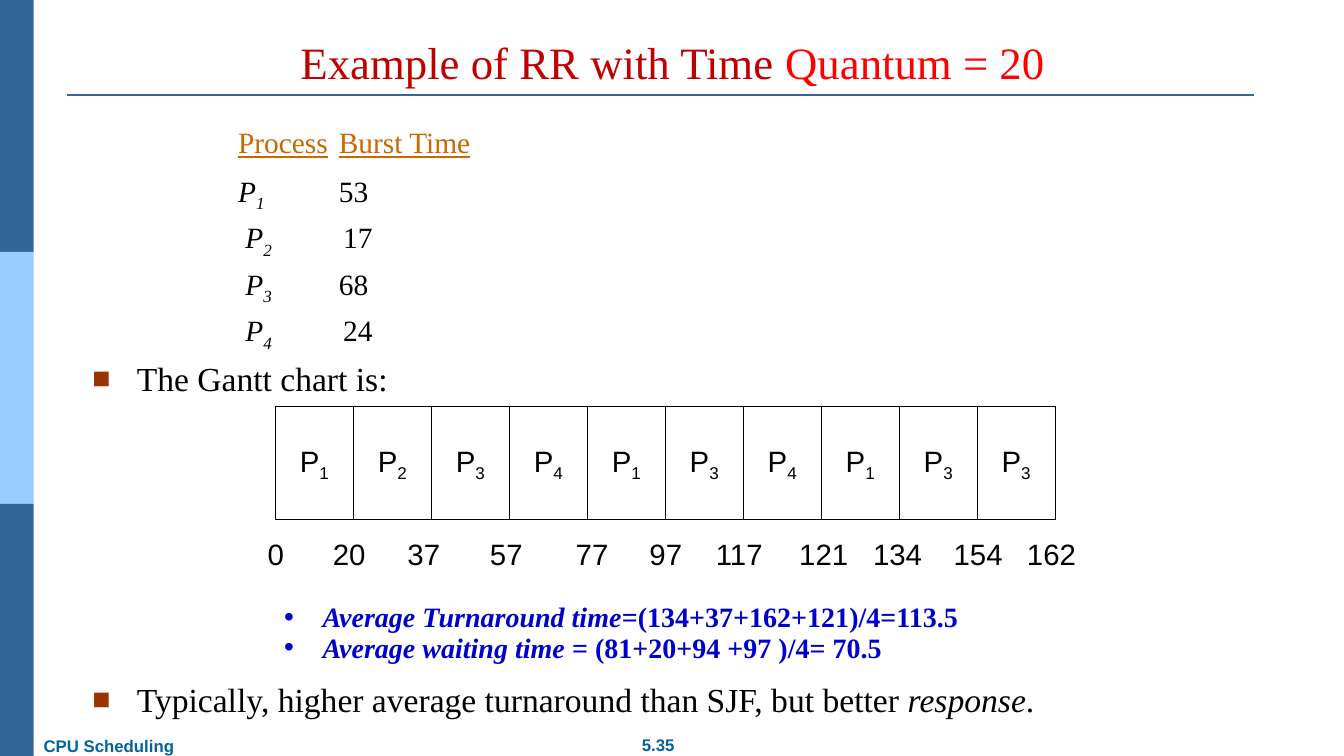
import dataclasses
import typing

import lxml.etree
import pptx
import pptx.dml.color
import pptx.enum.shapes
import pptx.enum.text
import pptx.oxml.ns
import pptx.util

Cm = pptx.util.Cm
Pt = pptx.util.Pt
Align = pptx.enum.text.PP_ALIGN
Anchor = pptx.enum.text.MSO_ANCHOR
Shape = pptx.enum.shapes.MSO_SHAPE


@dataclasses.dataclass(frozen=True)
class Theme:
    serif: str = "Times New Roman"
    sans: str = "Arial"
    dark_blue: str = "336699"
    light_blue: str = "99CCFF"
    footer: str = "006699"
    title: str = "C00000"
    title_accent: str = "FF0000"
    heading: str = "CC6600"
    marker: str = "993300"
    result: str = "0000CC"
    black: str = "000000"
    white: str = "FFFFFF"
    title_size: float = 32
    point_size: float = 24
    data_size: float = 21
    result_size: float = 20
    footer_size: float = 12


class Frame(typing.NamedTuple):
    left: float
    top: float
    width: float
    height: float


class Process(typing.NamedTuple):
    indent: str
    number: int
    gap: str
    burst: int


class Tick(typing.NamedTuple):
    time: int
    center: float


class Result(typing.NamedTuple):
    label: str
    formula: str


THEME = Theme()
STRIPES = [THEME.dark_blue, THEME.light_blue, THEME.dark_blue]
PROCESSES = [
    Process("", 1, "\t", 53),
    Process(" ", 2, "\t ", 17),
    Process(" ", 3, "\t", 68),
    Process(" ", 4, "\t ", 24),
]
SCHEDULE = [1, 2, 3, 4, 1, 3, 4, 1, 3, 3]
TICKS = [
    Tick(0, 6.95), Tick(20, 8.8), Tick(37, 10.68), Tick(57, 12.76),
    Tick(77, 14.92), Tick(97, 16.78), Tick(117, 18.63), Tick(121, 20.76),
    Tick(134, 22.62), Tick(154, 24.65), Tick(162, 26.5),
]
RESULTS = [
    Result("Average Turnaround time=", "(134+37+162+121)/4=113.5"),
    Result("Average waiting time", " = (81+20+94 +97 )/4= 70.5"),
]
GANTT = Frame(6.94, 10.24, 19.65, 2.86)


def color(value: str):
    return pptx.dml.color.RGBColor.from_string(value)


def add_span(para, text: str, *, size: float, font: str = THEME.serif,
             ink: str = THEME.black, bold: bool = False, italic: bool = False,
             underline: bool = False, subscript: bool = False) -> None:
    span = para.add_run()
    span.text = text
    span.font.name = font
    span.font.size = Pt(size)
    span.font.bold = bold
    span.font.italic = italic
    span.font.underline = underline
    span.font.color.rgb = color(ink)
    if subscript:
        span.font._element.set("baseline", "-25000")


def add_child(parent, tag: str, **attributes: str):
    child = lxml.etree.SubElement(parent, pptx.oxml.ns.qn(tag))
    for name, value in attributes.items():
        child.set(name, value)
    return child


def set_bullet(para, symbol: str, indent: float, ink: str, percent: int) -> None:
    properties = para._p.get_or_add_pPr()
    properties.set("marL", str(Cm(indent)))
    properties.set("indent", str(-Cm(indent)))
    add_child(add_child(properties, "a:buClr"), "a:srgbClr", val=ink)
    add_child(properties, "a:buSzPct", val=str(percent * 1000))
    add_child(properties, "a:buFont", typeface=THEME.sans)
    add_child(properties, "a:buChar", char=symbol)


def add_box(page, frame: Frame, *, align=Align.LEFT, anchor=Anchor.TOP,
            wrap: bool = True, side_margin: float = 0.3):
    box = page.shapes.add_textbox(*map(Cm, frame))
    text = box.text_frame
    text.word_wrap = wrap
    text.vertical_anchor = anchor
    text.margin_left = text.margin_right = Cm(side_margin)
    text.margin_top = text.margin_bottom = Cm(0.15)
    text.paragraphs[0].alignment = align
    return text


def add_rectangle(page, frame: Frame, fill: str, outline: bool = False):
    box = page.shapes.add_shape(Shape.RECTANGLE, *map(Cm, frame))
    box.shadow.inherit = False
    box.fill.solid()
    box.fill.fore_color.rgb = color(fill)
    if outline:
        box.line.color.rgb = color(THEME.black)
        box.line.width = Pt(0.75)
    else:
        box.line.fill.background()
    return box


def draw_frame(page) -> None:
    for index, fill in enumerate(STRIPES):
        add_rectangle(page, Frame(0, index * 6.35, 0.85, 6.35), fill)
    rule = page.shapes.add_connector(
        pptx.enum.shapes.MSO_CONNECTOR.STRAIGHT, Cm(1.7), Cm(2.4), Cm(31.6), Cm(2.4))
    rule.line.color.rgb = color(THEME.dark_blue)
    rule.line.width = Pt(1.5)
    add_child(rule._element.spPr, "a:effectLst")
    footer = dict(size=THEME.footer_size, font=THEME.sans, ink=THEME.footer, bold=True)
    number = add_box(page, Frame(15.74, 18.36, 1.7, 0.81), align=Align.CENTER, wrap=False)
    add_span(number.paragraphs[0], "5.35", **footer)
    chapter = add_box(page, Frame(0.8, 18.39, 4.1, 0.81), wrap=False)
    add_span(chapter.paragraphs[0], "CPU Scheduling", **footer)


def draw_title(page) -> None:
    text = add_box(page, Frame(1.7, 0.78, 30.5, 1.6), align=Align.CENTER,
                   anchor=Anchor.BOTTOM)
    para = text.paragraphs[0]
    add_span(para, "Example of RR with Time ", size=THEME.title_size, ink=THEME.title)
    add_span(para, "Quantum = 20", size=THEME.title_size, ink=THEME.title_accent)


def draw_processes(page) -> None:
    text = add_box(page, Frame(5.7, 2.7, 9, 6.3))
    heading = text.paragraphs[0]
    style = dict(size=THEME.data_size, ink=THEME.heading)
    add_span(heading, "Process", underline=True, **style)
    add_span(heading, "\t", **style)
    add_span(heading, "Burst Time", underline=True, **style)
    for process in PROCESSES:
        para = text.add_paragraph()
        add_span(para, process.indent + "P", size=THEME.data_size, italic=True)
        add_span(para, f"{process.number}{process.gap}", size=THEME.data_size,
                 italic=True, subscript=True)
        add_span(para, str(process.burst), size=THEME.data_size)
    text.paragraphs[1].space_before = Pt(5)
    for para in text.paragraphs:
        para.line_spacing = Pt(33.2)
        tabs = add_child(para._p.get_or_add_pPr(), "a:tabLst")
        add_child(tabs, "a:tab", pos=str(Cm(2.54)), algn="l")


def draw_point(page, top: float, text: str, emphasis: str = "", ending: str = "") -> None:
    para = add_box(page, Frame(2.03, top, 30.15, 1.3)).paragraphs[0]
    set_bullet(para, "■", 1.12, THEME.marker, 90)
    add_span(para, text, size=THEME.point_size)
    if emphasis:
        add_span(para, emphasis, size=THEME.point_size, italic=True)
        add_span(para, ending, size=THEME.point_size)


def draw_gantt(page) -> None:
    style = dict(size=THEME.data_size, font=THEME.sans)
    width = GANTT.width / len(SCHEDULE)
    for index, number in enumerate(SCHEDULE):
        frame = Frame(GANTT.left + index * width, GANTT.top, width, GANTT.height)
        text = add_rectangle(page, frame, THEME.white, outline=True).text_frame
        text.word_wrap = False
        text.vertical_anchor = Anchor.MIDDLE
        para = text.paragraphs[0]
        para.alignment = Align.CENTER
        add_span(para, "P", **style)
        add_span(para, str(number), subscript=True, **style)
    for tick in TICKS:
        text = add_box(page, Frame(tick.center - 0.9, 13.39, 1.8, 1.14),
                       align=Align.CENTER, anchor=Anchor.MIDDLE, wrap=False,
                       side_margin=0)
        add_span(text.paragraphs[0], str(tick.time), **style)


def draw_results(page) -> None:
    text = add_box(page, Frame(6.86, 15.06, 19.94, 1.83))
    style = dict(size=THEME.result_size, ink=THEME.result, bold=True)
    for index, result in enumerate(RESULTS):
        para = text.add_paragraph() if index else text.paragraphs[0]
        para.line_spacing = 0.9
        set_bullet(para, "•", 0.97, THEME.result, 100)
        add_span(para, result.label, italic=True, **style)
        add_span(para, result.formula, **style)


def main() -> None:
    deck = pptx.Presentation()
    deck.slide_width, deck.slide_height = Cm(33.87), Cm(19.05)
    page = deck.slides.add_slide(deck.slide_layouts[6])
    draw_frame(page)
    draw_title(page)
    draw_processes(page)
    draw_point(page, 8.88, "The Gantt chart is:")
    draw_gantt(page)
    draw_results(page)
    draw_point(page, 16.96, "Typically, higher average turnaround than SJF, but better ",
               "response", ".")
    deck.save("out.pptx")


if __name__ == "__main__":
    main()
